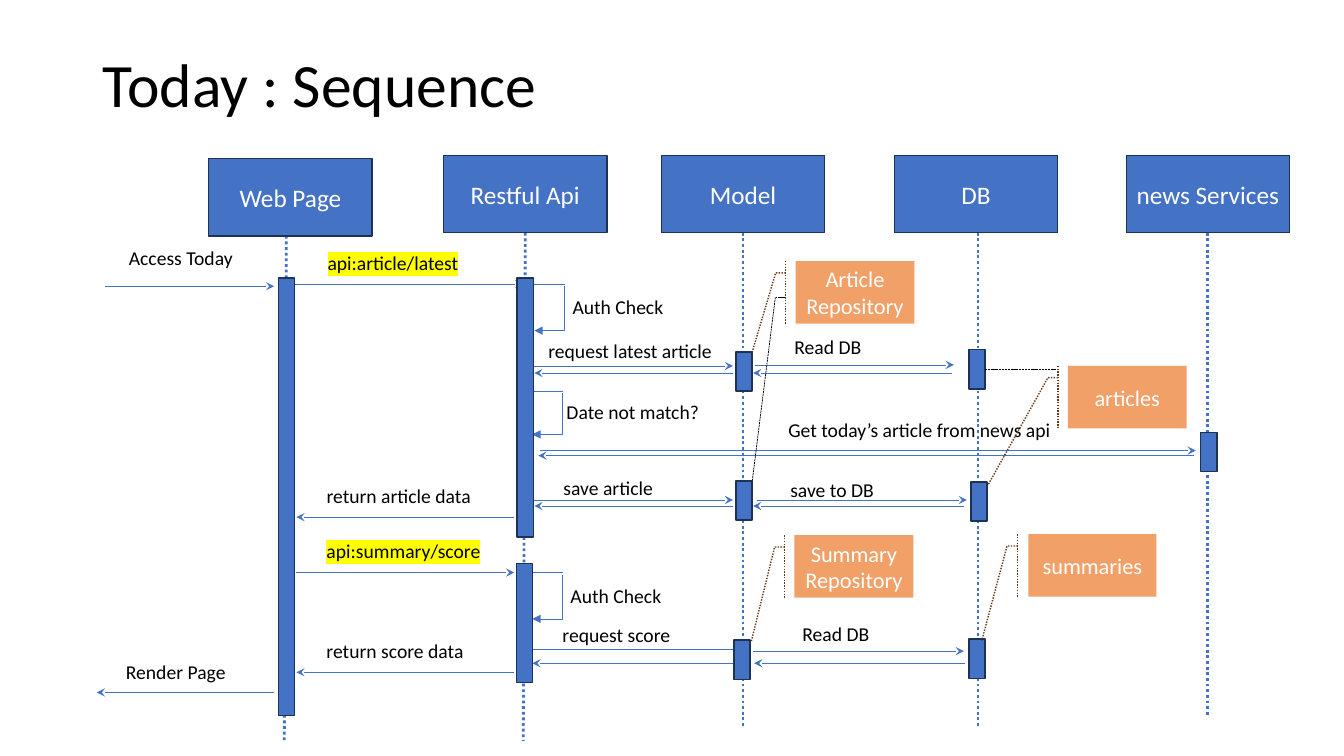
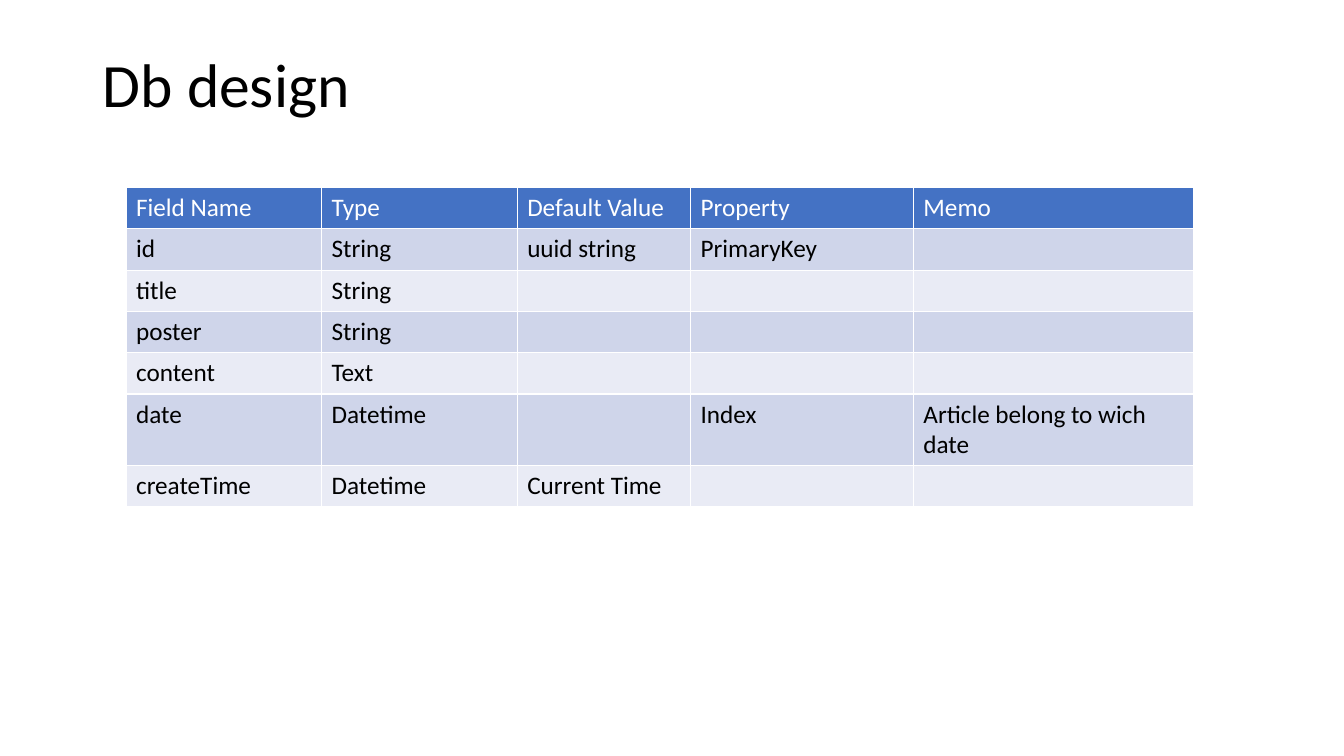
from typing import NamedTuple

from lxml.etree import SubElement
from pptx import Presentation
from pptx.dml.color import RGBColor
from pptx.enum.dml import MSO_LINE
from pptx.enum.shapes import MSO_CONNECTOR as Link, MSO_SHAPE as Preset
from pptx.enum.text import MSO_ANCHOR as Anchor, PP_ALIGN as Align
from pptx.oxml.ns import qn
from pptx.shapes.autoshape import Shape
from pptx.shapes.connector import Connector
from pptx.slide import Slide
from pptx.text.text import TextFrame
from pptx.util import Inches, Pt

COLORS = {
    "text": "000000",
    "light": "FFFFFF",
    "blue": "4472C4",
    "navy": "1E3256",
    "orange": "ED7D31",
    "brown": "683715",
    "highlight": "FFFF00",
    "odd row": "CFD5EA",
    "even row": "E9EBF5",
}
FONT = "Calibri"
TITLE_ONLY = 5
BAR_WIDTH = 0.16


class Participant(NamedTuple):
    name: str
    left: float
    top: float
    life_start: float  # x where the lifeline begins
    life_end: float
    life_bottom: float


class Activation(NamedTuple):
    left: float
    top: float
    height: float = 0.39


class Message(NamedTuple):
    start: float
    end: float
    y: float


class SelfCall(NamedTuple):
    left: float
    y: float
    bottom: float


class Label(NamedTuple):
    text: str
    left: float
    top: float
    width: float
    highlighted: bool = False


class Store(NamedTuple):
    text: str
    left: float
    top: float
    width: float
    tip_y: float  # pointer tip, as a share of the height
    tip_x: float  # pointer tip, as a share of the width


PARTICIPANTS = [
    Participant("Restful Api", 4.4, 1.54, 5.21, 5.19, 7.35),
    Participant("Model", 6.56, 1.54, 7.37, 7.37, 7.21),
    Participant("DB", 8.87, 1.54, 9.7, 9.7, 7.21),
    Participant("news Services", 11.17, 1.54, 11.98, 11.98, 7.1),
    Participant("Web Page", 2.07, 1.57, 2.84, 2.82, 7.35),
]
ACTIVATIONS = [
    Activation(2.76, 2.76, 4.34),
    Activation(5.13, 2.76, 2.57),
    Activation(5.12, 5.59, 1.18),
    Activation(7.3, 3.49),
    Activation(7.3, 4.77),
    Activation(7.28, 6.35),
    Activation(9.61, 3.47),
    Activation(9.63, 4.78),
    Activation(9.61, 6.34),
    Activation(11.91, 4.29),
]
MESSAGES = [
    Message(1.04, 2.72, 2.84),
    Message(2.88, 5.19, 2.82),
    Message(5.3, 7.27, 3.63),
    Message(7.27, 5.3, 3.7),
    Message(7.49, 9.46, 3.62),
    Message(9.44, 7.47, 3.7),
    Message(5.36, 11.86, 4.47),
    Message(11.84, 5.34, 4.52),
    Message(5.3, 7.27, 4.96),
    Message(7.27, 5.3, 5.02),
    Message(7.51, 9.59, 4.96),
    Message(9.56, 7.47, 5.02),
    Message(5.1, 2.94, 5.13),
    Message(2.94, 5.1, 5.68),
    Message(5.2, 7.36, 6.44),
    Message(7.32, 5.28, 6.58),
    Message(7.47, 9.56, 6.46),
    Message(9.57, 7.48, 6.58),
    Message(5.1, 2.94, 6.67),
    Message(2.72, 0.96, 6.87),
]
SELF_CALLS = [
    SelfCall(5.3, 2.82, 3.28),
    SelfCall(5.28, 3.88, 4.31),
    SelfCall(5.28, 5.68, 6.14),
]
LABELS = [
    Label("Access Today", 1.18, 2.39, 1.24),
    Label("api:article/latest", 3.15, 2.44, 1.52, True),
    Label("Auth Check", 5.58, 2.88, 1.11),
    Label("request latest article", 5.34, 3.31, 1.84),
    Label("Read DB", 7.78, 3.27, 0.87),
    Label("Date not match?", 5.52, 3.92, 1.53),
    Label("Get today’s article from news api", 7.72, 4.1, 2.83),
    Label("save article", 5.49, 4.67, 1.1),
    Label("save to DB", 7.74, 4.69, 1.04),
    Label("return article data", 3.14, 4.75, 1.65),
    Label("api:summary/score", 3.14, 5.3, 1.74, True),
    Label("Auth Check", 5.56, 5.74, 1.11),
    Label("request score", 5.48, 6.13, 1.28),
    Label("Read DB", 7.86, 6.12, 0.87),
    Label("return score data", 3.14, 6.29, 1.57),
    Label("Render Page", 1.15, 6.5, 1.2),
]
STORES = [
    Store("Article\nRepository", 7.89, 2.59, 1.18, 1.478, -0.368),
    Store("Summary\nRepository", 7.88, 5.31, 1.18, 1.704, -0.364),
    Store("articles", 10.59, 3.63, 1.18, 1.914, -0.673),
    Store("summaries", 10.2, 5.3, 1.27, 1.704, -0.364),
]
STORE_LINKS = [
    (7.69, 2.95, 7.46, 4.78),
    (7.79, 2.95, 7.7, 2.95),
    (10.47, 3.66, 9.77, 3.66),
]
FIELD_COLUMNS = [1.94, 1.94, 1.72, 2.21, 2.78]
FIELD_ROWS = [
    ("Field Name", "Type", "Default Value", "Property", "Memo"),
    ("id", "String", "uuid string", "PrimaryKey", ""),
    ("title", "String", "", "", ""),
    ("poster", "String", "", "", ""),
    ("content", "Text", "", "", ""),
    ("date", "Datetime", "", "Index", "Article belong to wich date"),
    ("createTime", "Datetime", "Current Time", "", ""),
]


def rgb(color: str) -> RGBColor:
    return RGBColor.from_string(COLORS[color])


def write(frame: TextFrame, text: str, size: float, color: str, align: Align = Align.LEFT) -> None:
    frame.text = text
    for paragraph in frame.paragraphs:
        paragraph.alignment = align
        font = paragraph.font
        font.name, font.size, font.bold = FONT, Pt(size), False
        font.color.rgb = rgb(color)


def add_titled_slide(deck: Presentation, title: str) -> Slide:
    slide = deck.slides.add_slide(deck.slide_layouts[TITLE_ONLY])
    heading = slide.shapes.title
    heading.left, heading.top = Inches(0.92), Inches(0.4)
    heading.width, heading.height = Inches(11.5), Inches(0.93)
    write(heading.text_frame, title, 44, "text")
    heading.text_frame.vertical_anchor = Anchor.MIDDLE
    heading.text_frame.paragraphs[0].line_spacing = 0.9
    return slide


def add_line(slide: Slide, x1: float, y1: float, x2: float, y2: float, color: str = "blue",
             width: float = 0.5, dash: MSO_LINE | None = None, head: str = "",
             kind: Link = Link.STRAIGHT) -> Connector:
    link = slide.shapes.add_connector(kind, Inches(x1), Inches(y1), Inches(x2), Inches(y2))
    link.line.color.rgb = rgb(color)
    link.line.width = Pt(width)
    if dash:
        link.line.dash_style = dash
    if head:
        SubElement(link.line._get_or_add_ln(), qn("a:tailEnd"), type=head)
    SubElement(link._element.spPr, qn("a:effectLst"))
    return link


def add_box(slide: Slide, left: float, top: float, width: float, height: float,
            fill: str = "blue", outline: str = "navy", preset: Preset = Preset.RECTANGLE) -> Shape:
    box = slide.shapes.add_shape(preset, Inches(left), Inches(top), Inches(width), Inches(height))
    box.shadow.inherit = False
    box.fill.solid()
    box.fill.fore_color.rgb = rgb(fill)
    box.line.color.rgb = rgb(outline)
    box.line.width = Pt(1)
    box.text_frame.vertical_anchor = Anchor.MIDDLE
    return box


def add_self_call(slide: Slide, call: SelfCall) -> None:
    """Draw a short spur, then an elbow that runs down and back to the bar."""
    reach, start = 0.3, call.y + 0.02
    add_line(slide, call.left, call.y, call.left + reach, call.y)
    drop = call.bottom - start
    center_x, center_y = call.left + reach / 2, start + drop / 2
    elbow = add_line(slide, center_x - drop / 2, center_y - reach / 2,
                     center_x + drop / 2, center_y + reach / 2,
                     head="triangle", kind=Link.ELBOW)
    properties = elbow._element.spPr
    properties.find(qn("a:xfrm")).set("rot", "5400000")
    guides = properties.find(qn("a:prstGeom")).find(qn("a:avLst"))
    SubElement(guides, qn("a:gd"), name="adj1", fmla="val 100000")


def add_label(slide: Slide, label: Label) -> None:
    box = slide.shapes.add_textbox(Inches(label.left), Inches(label.top),
                                   Inches(label.width), Inches(0.34))
    box.text_frame.word_wrap = False
    write(box.text_frame, label.text, 14, "text")
    if label.highlighted:
        run = box.text_frame.paragraphs[0].runs[0]
        marker = SubElement(run._r.get_or_add_rPr(), qn("a:highlight"))
        SubElement(marker, qn("a:srgbClr"), val=COLORS["highlight"])


def add_store(slide: Slide, store: Store) -> None:
    callout = add_box(slide, store.left, store.top, store.width, 0.62, "orange", "brown",
                      Preset.LINE_CALLOUT_2_ACCENT_BAR)
    callout.line.dash_style = MSO_LINE.ROUND_DOT
    pointer = (0.188, -0.083, 0.188, -0.167, store.tip_y, store.tip_x)
    for index, share in enumerate(pointer):
        callout.adjustments[index] = share
    fill_color = callout._element.spPr.find(qn("a:solidFill")).find(qn("a:srgbClr"))
    SubElement(fill_color, qn("a:alpha"), val="73000")
    write(callout.text_frame, store.text, 16, "light", Align.CENTER)


def build_sequence(deck: Presentation) -> None:
    slide = add_titled_slide(deck, "Today : Sequence")
    header_height = 0.77
    for person in PARTICIPANTS:
        add_line(slide, person.life_start, person.top + header_height, person.life_end,
                 person.life_bottom, width=2, dash=MSO_LINE.ROUND_DOT)
    for message in MESSAGES:
        add_line(slide, message.start, message.y, message.end, message.y, head="stealth")
    for call in SELF_CALLS:
        add_self_call(slide, call)
    for label in LABELS:
        add_label(slide, label)
    for person in PARTICIPANTS:
        header = add_box(slide, person.left, person.top, 1.62, header_height)
        write(header.text_frame, person.name, 18, "light", Align.CENTER)
    for bar in ACTIVATIONS:
        add_box(slide, bar.left, bar.top, BAR_WIDTH, bar.height)
    for store in STORES:
        add_store(slide, store)
    for ends in STORE_LINKS:
        add_line(slide, *ends, color="text", dash=MSO_LINE.SQUARE_DOT)


def build_db_design(deck: Presentation) -> None:
    slide = add_titled_slide(deck, "Db design")
    row_height = 0.41
    fields = slide.shapes.add_table(
        len(FIELD_ROWS), len(FIELD_COLUMNS), Inches(1.25), Inches(1.86),
        Inches(sum(FIELD_COLUMNS)), Inches(row_height * len(FIELD_ROWS))).table
    for column, width in zip(fields.columns, FIELD_COLUMNS):
        column.width = Inches(width)
    for index, (row, texts) in enumerate(zip(fields.rows, FIELD_ROWS)):
        row.height = Inches(row_height)
        band = "blue" if index == 0 else "odd row" if index % 2 else "even row"
        for cell, text in zip(row.cells, texts):
            cell.fill.solid()
            cell.fill.fore_color.rgb = rgb(band)
            write(cell.text_frame, text, 18, "text" if index else "light")


def main() -> None:
    deck = Presentation()
    deck.slide_width, deck.slide_height = Inches(13.33), Inches(7.5)
    build_sequence(deck)
    build_db_design(deck)
    deck.save("out.pptx")


if __name__ == "__main__":
    main()
